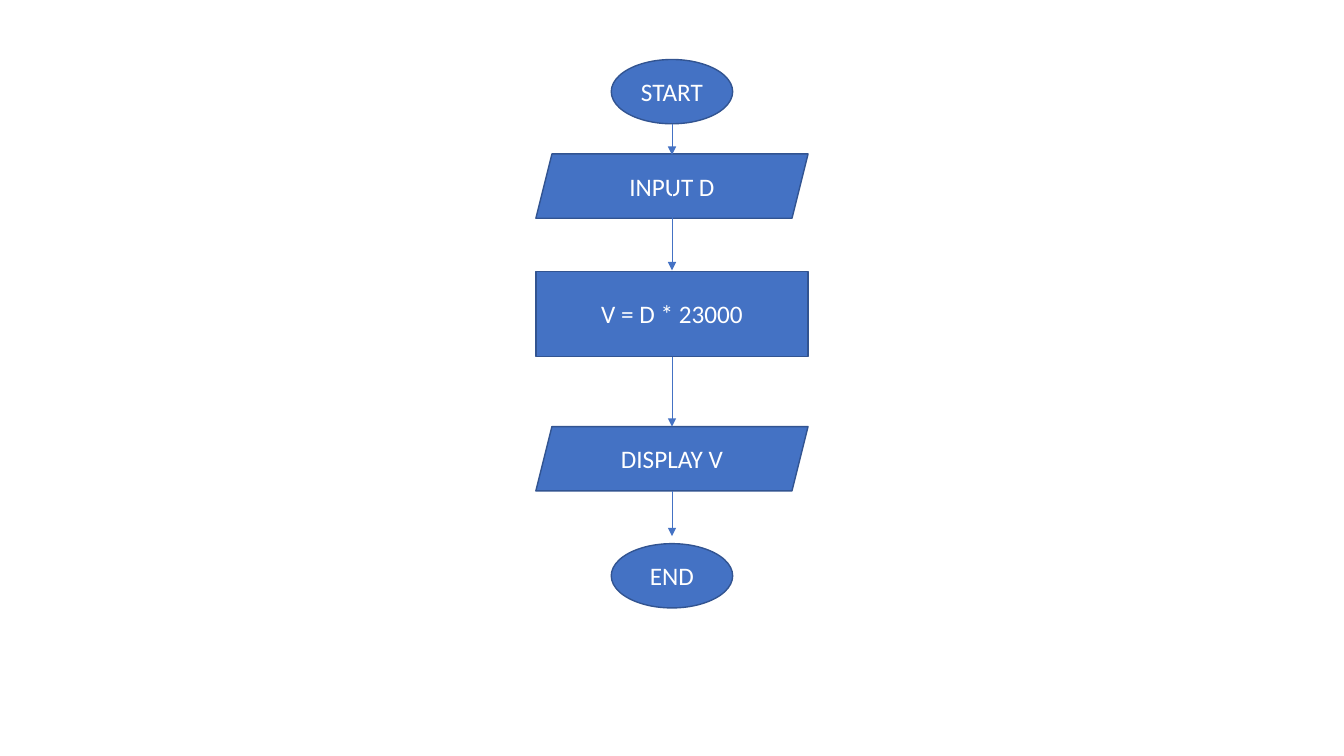
from dataclasses import dataclass

from lxml import etree
from pptx import Presentation
from pptx.dml.color import RGBColor
from pptx.enum import shapes, text
from pptx.oxml.ns import qn
from pptx.util import Cm, Pt

# Content: label, kind, top in cm
STEPS = [
    ("START", "terminal", 1.5),
    ("INPUT D", "data", 3.88),
    ("V = D * 23000", "process", 6.84),
    ("DISPLAY V", "data", 10.75),
    ("END", "terminal", 13.7),
]
# Arrows: start and end height in cm
ARROWS = [(3.12, 3.9), (4.27, 6.81), (9, 10.75), (12.37, 13.51)]

# Kinds of step: preset shape, width and height in cm
KINDS = {
    "terminal": (shapes.MSO_SHAPE.OVAL, 3.06, 1.62),
    "data": (shapes.MSO_SHAPE.PARALLELOGRAM, 6.86, 1.62),
    "process": (shapes.MSO_SHAPE.RECTANGLE, 6.86, 2.14),
}
PAGE_WIDTH, PAGE_HEIGHT = 33.87, 19.05
CENTER = PAGE_WIDTH / 2


@dataclass(frozen=True)
class Theme:
    fill: RGBColor = RGBColor(0x44, 0x72, 0xC4)
    outline: RGBColor = RGBColor(0x32, 0x54, 0x91)
    label: RGBColor = RGBColor(0xFF, 0xFF, 0xFF)
    font: str = "Calibri"
    size: Pt = Pt(18)
    outline_width: Pt = Pt(1)
    arrow_width: Pt = Pt(0.5)


THEME = Theme()


def add_step(page, label, kind, top):
    preset, width, height = KINDS[kind]
    box = page.shapes.add_shape(
        preset, Cm(CENTER - width / 2), Cm(top), Cm(width), Cm(height))
    box.shadow.inherit = False
    box.fill.solid()
    box.fill.fore_color.rgb = THEME.fill
    box.line.color.rgb = THEME.outline
    box.line.width = THEME.outline_width
    frame = box.text_frame
    frame.word_wrap = True
    frame.vertical_anchor = text.MSO_ANCHOR.MIDDLE
    para = frame.paragraphs[0]
    para.text = label
    para.alignment = text.PP_ALIGN.CENTER
    para.font.name = THEME.font
    para.font.size = THEME.size
    para.font.color.rgb = THEME.label


def add_arrow(page, start, end):
    arrow = page.shapes.add_connector(
        shapes.MSO_CONNECTOR.STRAIGHT, Cm(CENTER), Cm(start), Cm(CENTER), Cm(end))
    arrow.line.color.rgb = THEME.fill
    arrow.line.width = THEME.arrow_width
    # Arrowhead at the end, no shadow
    etree.SubElement(arrow.line._get_or_add_ln(), qn("a:tailEnd"), type="triangle")
    etree.SubElement(arrow._element.spPr, qn("a:effectLst"))


def main():
    deck = Presentation()
    deck.slide_width, deck.slide_height = Cm(PAGE_WIDTH), Cm(PAGE_HEIGHT)
    page = deck.slides.add_slide(deck.slide_layouts[6])
    # Flowchart steps, then the arrows between them
    for step in STEPS:
        add_step(page, *step)
    for arrow in ARROWS:
        add_arrow(page, *arrow)
    deck.save("out.pptx")


if __name__ == "__main__":
    main()
